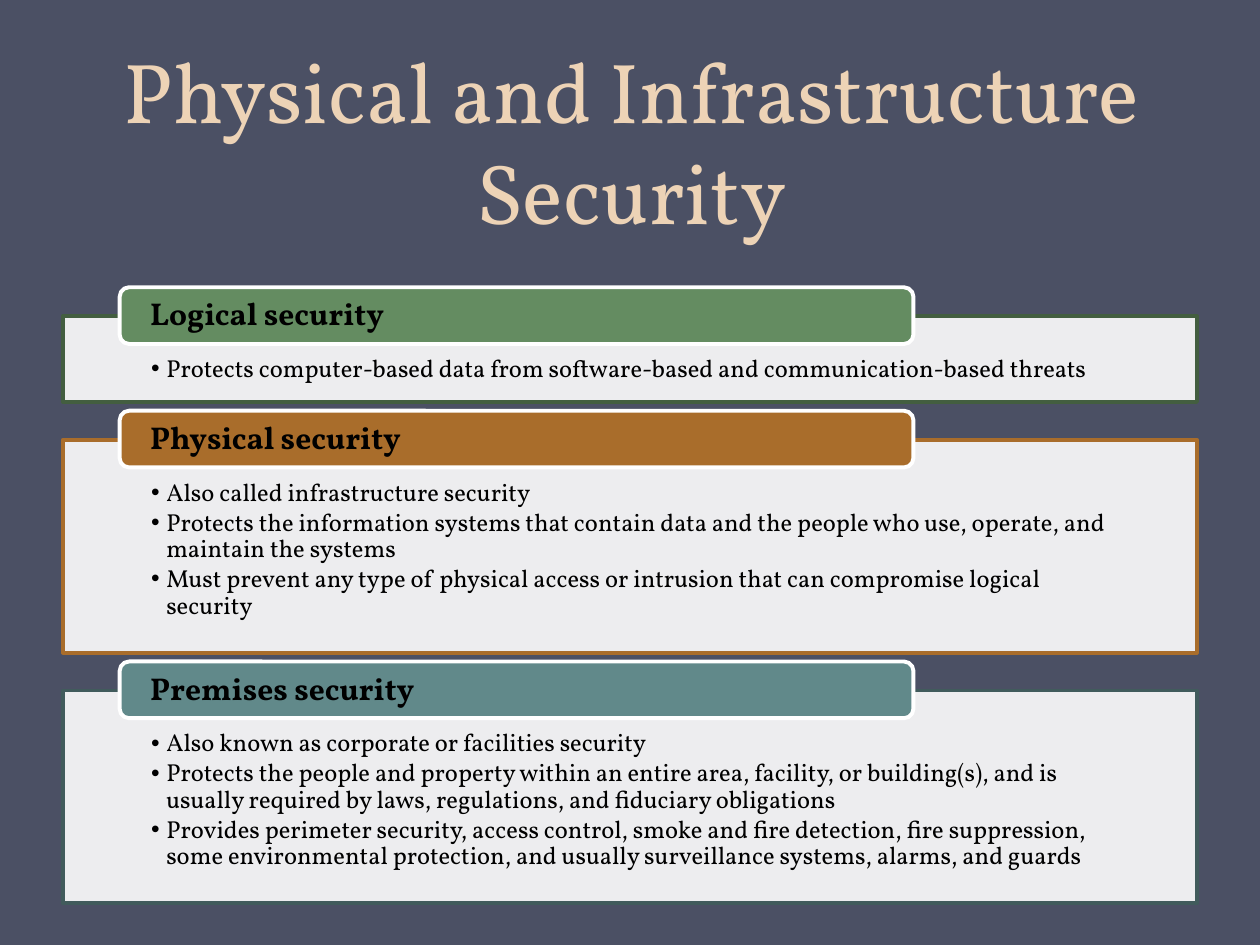
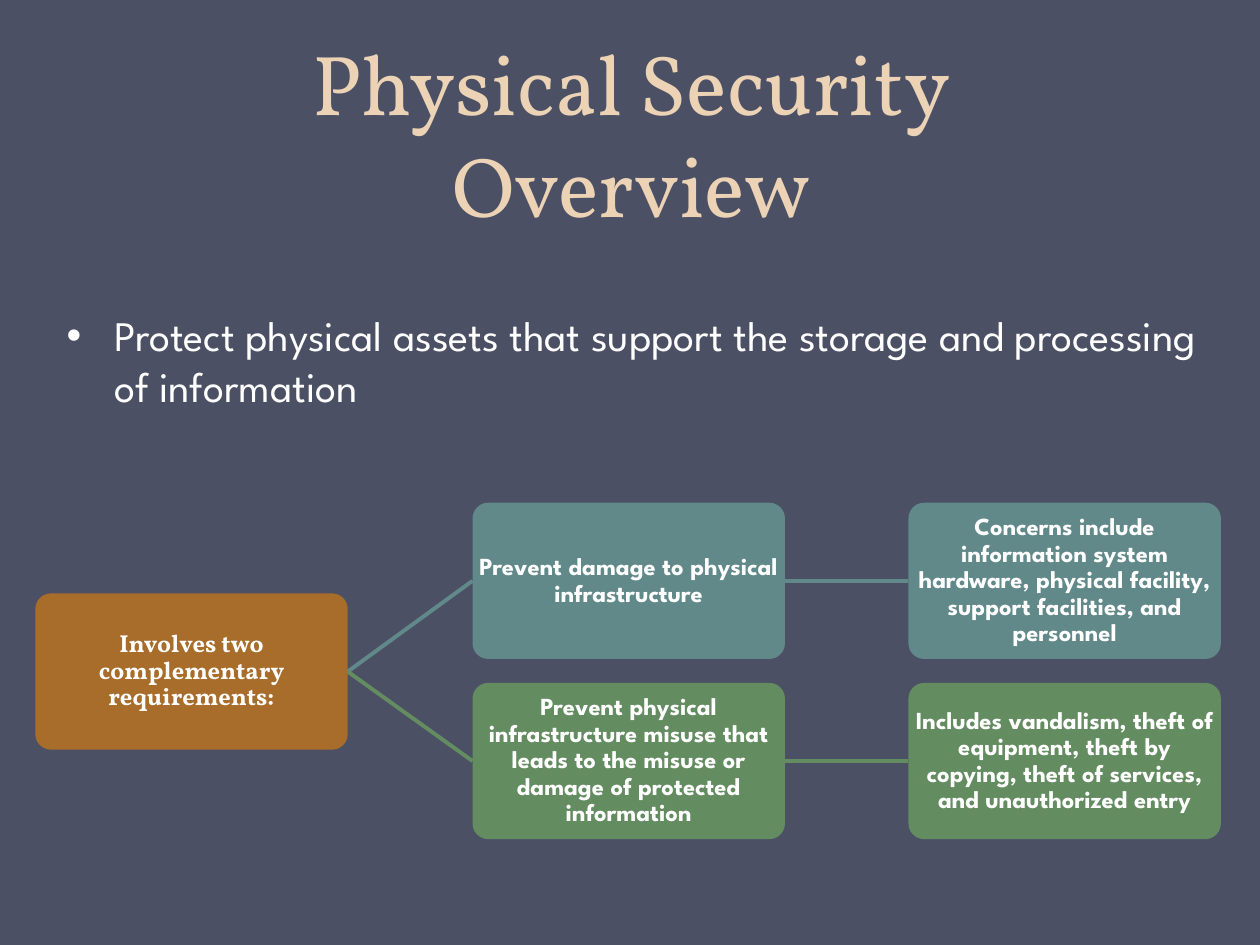
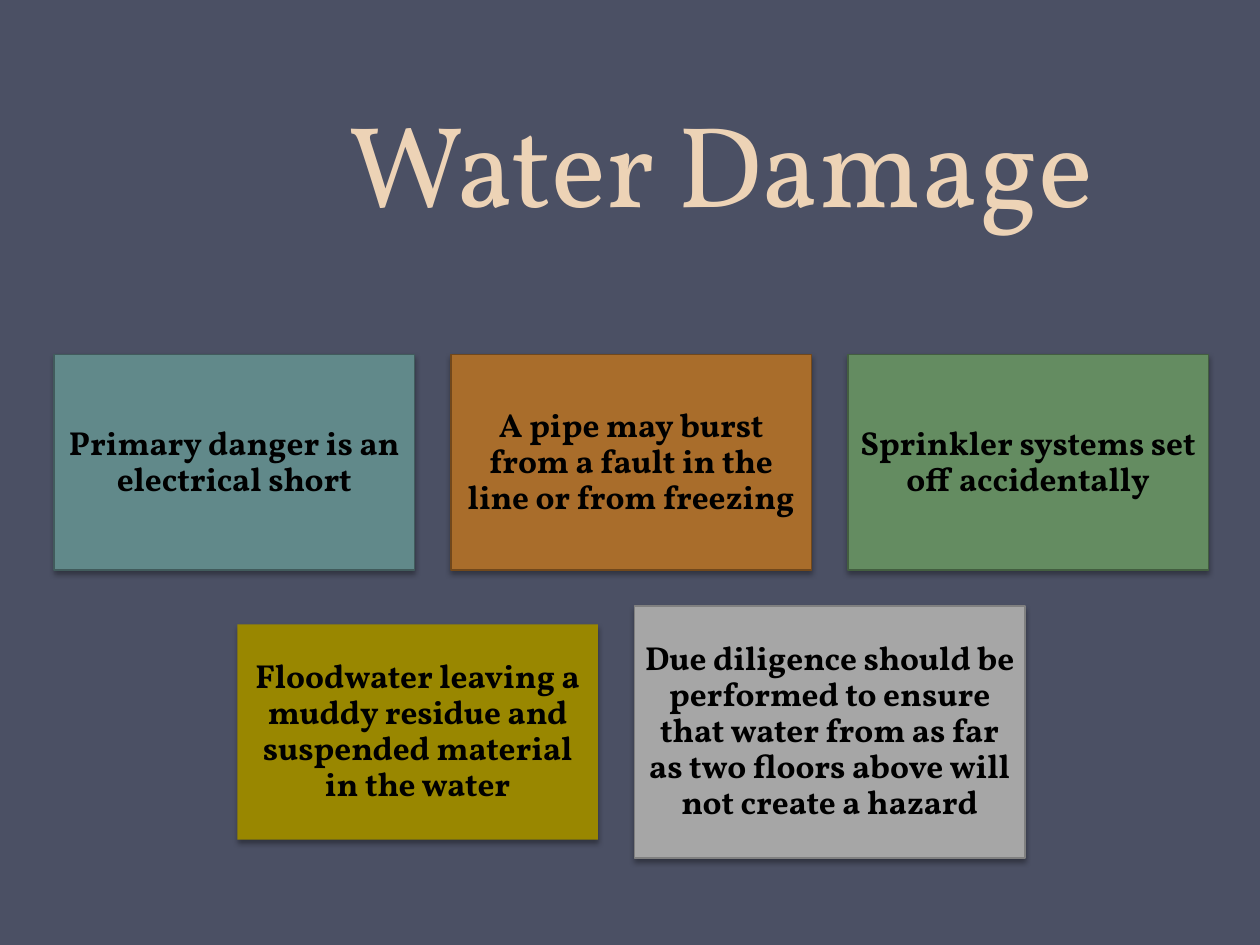
from dataclasses import dataclass

from lxml.etree import SubElement as Sub
from pptx import Presentation
from pptx.dml.color import RGBColor
from pptx.enum.shapes import MSO_CONNECTOR as Link, MSO_SHAPE as Form
from pptx.enum.text import MSO_ANCHOR as Anchor, PP_ALIGN as Align
from pptx.oxml.ns import qn
from pptx.util import Inches, Pt

BACK, SAND, WHITE, BLACK = "4B5064", "EDD3B6", "FFFFFF", "000000"
GREEN, RUST, TEAL = "648C61", "A96D2B", "61898A"
MOSS, BROWN, PINE = "435E40", "71481C", "415B5C"
SERIF, SANS = "Vollkorn", "League Spartan"
SIDES = ("margin_left", "margin_top", "margin_right", "margin_bottom")


@dataclass(frozen=True)
class Box:
    left: float
    top: float
    wide: float
    high: float

    def emu(self) -> tuple:
        return tuple(Inches(v) for v in (self.left, self.top, self.wide, self.high))


@dataclass(frozen=True)
class Style:
    size: float
    face: str = SERIF
    tint: str = BLACK
    bold: bool = False
    align: Align = Align.CENTER
    anchor: Anchor = Anchor.MIDDLE
    inset: tuple = (0.1, 0.05, 0.1, 0.05)
    space: object = 0.9
    after: float = 0
    hang: float = 0


@dataclass(frozen=True)
class Panel:
    head: str
    points: tuple
    fill: str
    edge: str
    high: float


@dataclass(frozen=True)
class Card:
    text: str
    fill: str
    edge: str = ""
    wide: float = 2.86
    high: float = 1.71


POINT = Style(14, align=Align.LEFT, anchor=Anchor.TOP,
              inset=(0.7, 0.32, 0.7, 0.11), after=2, hang=0.12)
TAB = Style(18, bold=True, align=Align.LEFT, inset=(0.22, 0, 0.22, 0))
LEAD = Style(24, SANS, WHITE, align=Align.LEFT, anchor=Anchor.TOP, space=1.0, hang=0.38)
ROOT = Style(14, SERIF, WHITE, True, inset=(0, 0, 0, 0))
NODE = Style(14, SANS, WHITE, True, inset=(0, 0, 0, 0))
NOTE = Style(19, bold=True, inset=(0.08, 0.08, 0.08, 0.08))

PANELS = (
    Panel("Logical security", (
        "Protects computer-based data from software-based and communication-based threats",
    ), GREEN, MOSS, 0.68),
    Panel("Physical security", (
        "Also called infrastructure security",
        "Protects the information systems that contain data and the people who use, operate, and maintain the systems",
        "Must prevent any type of physical access or intrusion that can compromise logical security",
    ), RUST, RUST, 1.69),
    Panel("Premises security", (
        "Also known as corporate or facilities security",
        "Protects the people and property within an entire area, facility, or building(s), and is usually required by laws, regulations, and fiduciary obligations",
        "Provides perimeter security, access control, smoke and fire detection, fire suppression, some environmental protection, and usually surveillance systems, alarms, and guards",
    ), TEAL, PINE, 1.69),
)
NEEDS = (
    (3.99, TEAL, "Prevent damage to physical infrastructure",
     "Concerns include information system hardware, physical facility, support facilities, and personnel"),
    (5.42, GREEN, "Prevent physical infrastructure misuse that leads to the misuse or damage of protected information",
     "Includes vandalism, theft of equipment, theft by copying, theft of services, and unauthorized entry"),
)
ROWS = (
    (3.67, (
        Card("Primary danger is an electrical short", TEAL, PINE),
        Card("A pipe may burst from a fault in the line or from freezing", RUST, BROWN),
        Card("Sprinkler systems set off accidentally", GREEN, MOSS),
    )),
    (5.81, (
        Card("Floodwater leaving a muddy residue and suspended material in the water", "998700"),
        Card("Due diligence should be performed to ensure that water from as far as two floors above will not create a hazard",
             "A6A6A6", "808080", 3.1, 2),
    )),
)


def tone(code: str) -> RGBColor:
    return RGBColor.from_string(code)


def apply(target, values: dict) -> None:
    for name, value in values.items():
        setattr(target, name, value)


def write(shape, lines: tuple, style: Style) -> None:
    frame = shape.text_frame
    apply(frame, {"word_wrap": True, "vertical_anchor": style.anchor})
    apply(frame, dict(zip(SIDES, map(Inches, style.inset))))
    for spot, line in enumerate(lines):
        para = frame.add_paragraph() if spot else frame.paragraphs[0]
        para.text = line
        if style.hang:
            props = para._p.get_or_add_pPr()
            props.set("marL", str(Inches(style.hang)))
            props.set("indent", str(-Inches(style.hang)))
            Sub(props, qn("a:buFont"), typeface="Arial")
            Sub(props, qn("a:buChar"), char="•")
        apply(para, {"alignment": style.align, "line_spacing": style.space,
                     "space_before": Pt(0), "space_after": Pt(style.after)})
        for run in para.runs:
            apply(run.font, {"name": style.face, "size": Pt(style.size), "bold": style.bold})
            run.font.color.rgb = tone(style.tint)


def label(slide, box: Box, text: str, style: Style) -> None:
    write(slide.shapes.add_textbox(*box.emu()), (text,), style)


def block(slide, form: Form, box: Box, fill: str, edge: str, weight: float,
          lines: tuple, style: Style):
    shape = slide.shapes.add_shape(form, *box.emu())
    shape.shadow.inherit = False
    shape.fill.solid()
    shape.fill.fore_color.rgb = tone(fill)
    if edge:
        shape.line.color.rgb = tone(edge)
        shape.line.width = Pt(weight)
    else:
        shape.line.fill.background()
    write(shape, lines, style)
    return shape


def fade(shape) -> None:
    color = shape._element.spPr.find(qn("a:solidFill")).find(qn("a:srgbClr"))
    Sub(color, qn("a:alpha"), val="90000")


def shade(shape) -> None:
    effects = shape._element.spPr.find(qn("a:effectLst"))
    outer = Sub(effects, qn("a:outerShdw"), blurRad=str(Pt(3.1)), dist=str(Pt(1.8)),
                dir="5400000", rotWithShape="0")
    color = Sub(outer, qn("a:srgbClr"), val=BLACK)
    Sub(color, qn("a:alpha"), val="35000")


def node(slide, left: float, top: float, fill: str, text: str, style: Style):
    shape = block(slide, Form.ROUNDED_RECTANGLE, Box(left, top, 2.48, 1.24),
                  fill, "", 0, (text,), style)
    shape.adjustments[0] = 0.1
    return shape


def join(slide, start, end, color: str) -> None:
    line = slide.shapes.add_connector(Link.STRAIGHT, 0, 0, 0, 0)
    line.begin_connect(start, 3)
    line.end_connect(end, 1)
    line.line.color.rgb = tone(color)
    line.line.width = Pt(2.25)
    Sub(line._element.spPr, qn("a:effectLst"))


def start(deck, title: str, box: Box, size: float = 48.6):
    slide = deck.slides.add_slide(deck.slide_layouts[6])
    slide.background.fill.solid()
    slide.background.fill.fore_color.rgb = tone(BACK)
    label(slide, box, title, Style(size, tint=SAND, anchor=Anchor.BOTTOM, space=Pt(58)))
    return slide


def kinds(deck) -> None:
    slide = start(deck, "Physical and Infrastructure Security", Box(0.51, 0.36, 9, 1.61))
    top = 2.51
    for panel in PANELS:
        fade(block(slide, Form.RECTANGLE, Box(0.5, top, 9, panel.high),
                   WHITE, panel.edge, 2.25, panel.points, POINT))
        block(slide, Form.ROUNDED_RECTANGLE, Box(0.95, top - 0.23, 6.3, 0.45),
              panel.fill, WHITE, 2.25, (panel.head,), TAB)
        top += panel.high + 0.3


def scope(deck) -> None:
    slide = start(deck, "Physical Security\vOverview", Box(0.51, 0.36, 9, 1.55))
    label(slide, Box(0.43, 2.41, 9.17, 1.08),
          "Protect physical assets that support the storage and processing of information", LEAD)
    root = node(slide, 0.28, 4.71, RUST, "Involves two complementary requirements:", ROOT)
    for top, color, need, detail in NEEDS:
        goal = node(slide, 3.75, top, color, need, NODE)
        leaf = node(slide, 7.21, top, color, detail, NODE)
        join(slide, root, goal, color)
        join(slide, goal, leaf, color)


def water(deck) -> None:
    slide = start(deck, "Water Damage", Box(1.22, 0.13, 9, 1.75), 66)
    gap, center = 0.29, 5.01
    for middle, cards in ROWS:
        total = sum(card.wide for card in cards) + gap * (len(cards) - 1)
        left = center - total / 2
        for card in cards:
            box = Box(left, middle - card.high / 2, card.wide, card.high)
            shade(block(slide, Form.RECTANGLE, box, card.fill, card.edge, 0.75,
                        (card.text,), NOTE))
            left += card.wide + gap


def main() -> None:
    deck = Presentation()
    apply(deck, {"slide_width": Inches(10), "slide_height": Inches(7.5)})
    for build in (kinds, scope, water):
        build(deck)
    deck.save("out.pptx")


if __name__ == "__main__":
    main()
